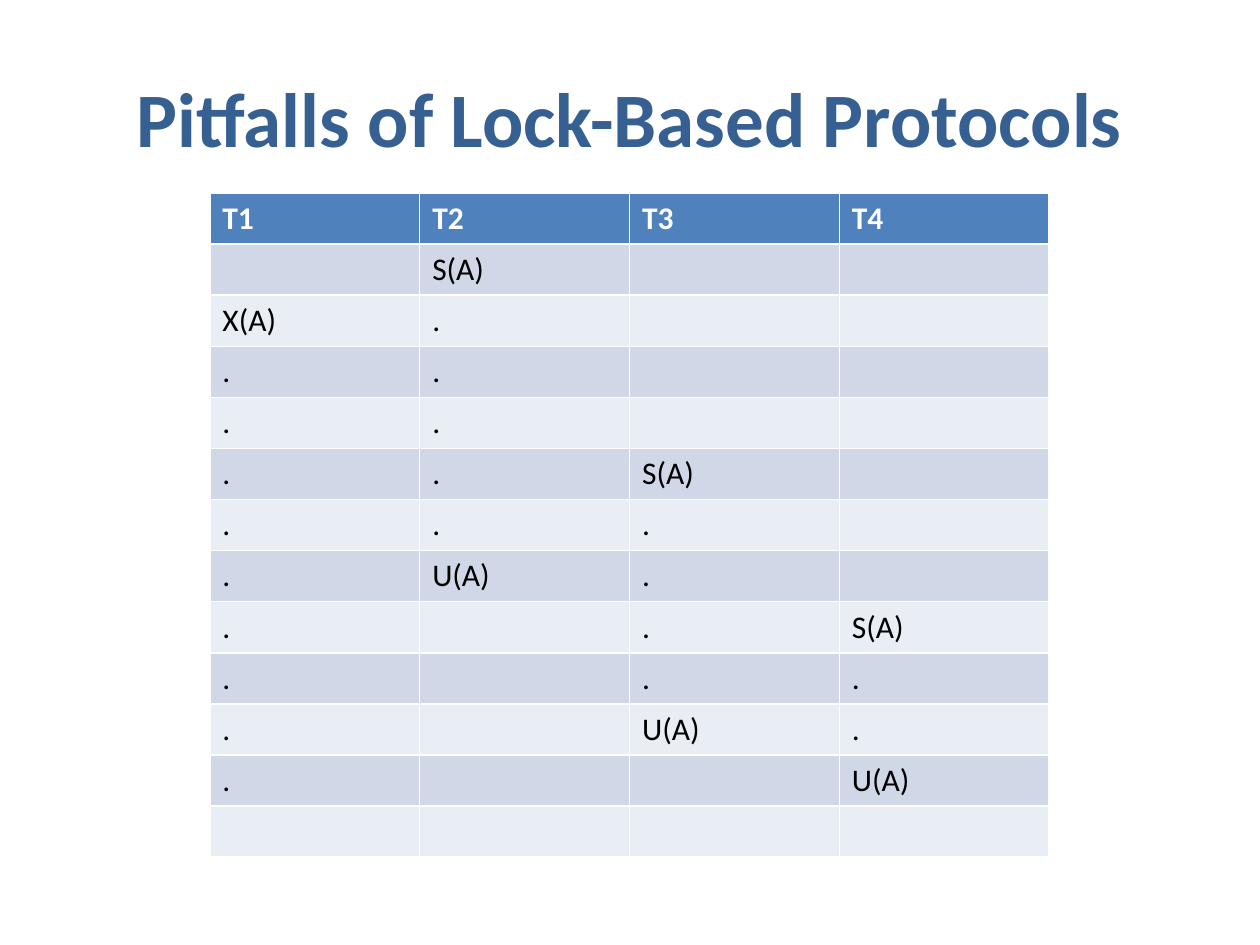
"""Build a slide with a lock schedule of four transactions."""
from pptx import Presentation
from pptx.dml.color import RGBColor
from pptx.enum.text import MSO_ANCHOR, PP_ALIGN
from pptx.util import Cm, Pt

SCHEDULE = [
    ["T1", "T2", "T3", "T4"],
    ["", "S(A)", "", ""],
    ["X(A)", ".", "", ""],
    [".", ".", "", ""],
    [".", ".", "", ""],
    [".", ".", "S(A)", ""],
    [".", ".", ".", ""],
    [".", "U(A)", ".", ""],
    [".", "", ".", "S(A)"],
    [".", "", ".", "."],
    [".", "", "U(A)", "."],
    [".", "", "", "U(A)"],
    ["", "", "", ""],
]


def color(hex_string):
    return RGBColor.from_string(hex_string)


class SlideBuilder:
    font_name = "Calibri"
    title_color = "376092"
    header_fill = "4F81BD"
    band_fills = ("E9EDF4", "D0D8E8")

    def __init__(self, presentation):
        self.slide = presentation.slides.add_slide(presentation.slide_layouts[5])

    def format_text(self, paragraph, size, hex_string, bold):
        font = paragraph.font
        font.name = self.font_name
        font.size = Pt(size)
        font.bold = bold
        font.color.rgb = color(hex_string)

    def title(self, text, left, top, width, height):
        shape = self.slide.shapes.title
        shape.left, shape.top = Cm(left), Cm(top)
        shape.width, shape.height = Cm(width), Cm(height)
        frame = shape.text_frame
        frame.text = text
        frame.vertical_anchor = MSO_ANCHOR.MIDDLE
        paragraph = frame.paragraphs[0]
        paragraph.alignment = PP_ALIGN.CENTER
        self.format_text(paragraph, 44, self.title_color, True)

    def table(self, rows, left, top, column_width, row_height):
        row_count, column_count = len(rows), len(rows[0])
        table = self.slide.shapes.add_table(
            row_count, column_count, Cm(left), Cm(top),
            Cm(column_width * column_count), Cm(row_height * row_count),
        ).table
        for row_index, row in enumerate(rows):
            is_header = row_index == 0
            fill = self.header_fill if is_header else self.band_fills[row_index % 2]
            text_color = "FFFFFF" if is_header else "000000"
            for column_index, text in enumerate(row):
                cell = table.cell(row_index, column_index)
                cell.text = text
                cell.fill.solid()
                cell.fill.fore_color.rgb = color(fill)
                self.format_text(cell.text_frame.paragraphs[0], 18, text_color, is_header)


def main():
    presentation = Presentation()
    presentation.slide_width, presentation.slide_height = Cm(25.4), Cm(19.05)
    builder = SlideBuilder(presentation)
    builder.title("Pitfalls of Lock-Based Protocols", 1.27, 0.76, 22.86, 3.18)
    builder.table(SCHEDULE, 4.23, 3.89, 4.23, 1.03)
    presentation.save("out.pptx")


if __name__ == "__main__":
    main()
